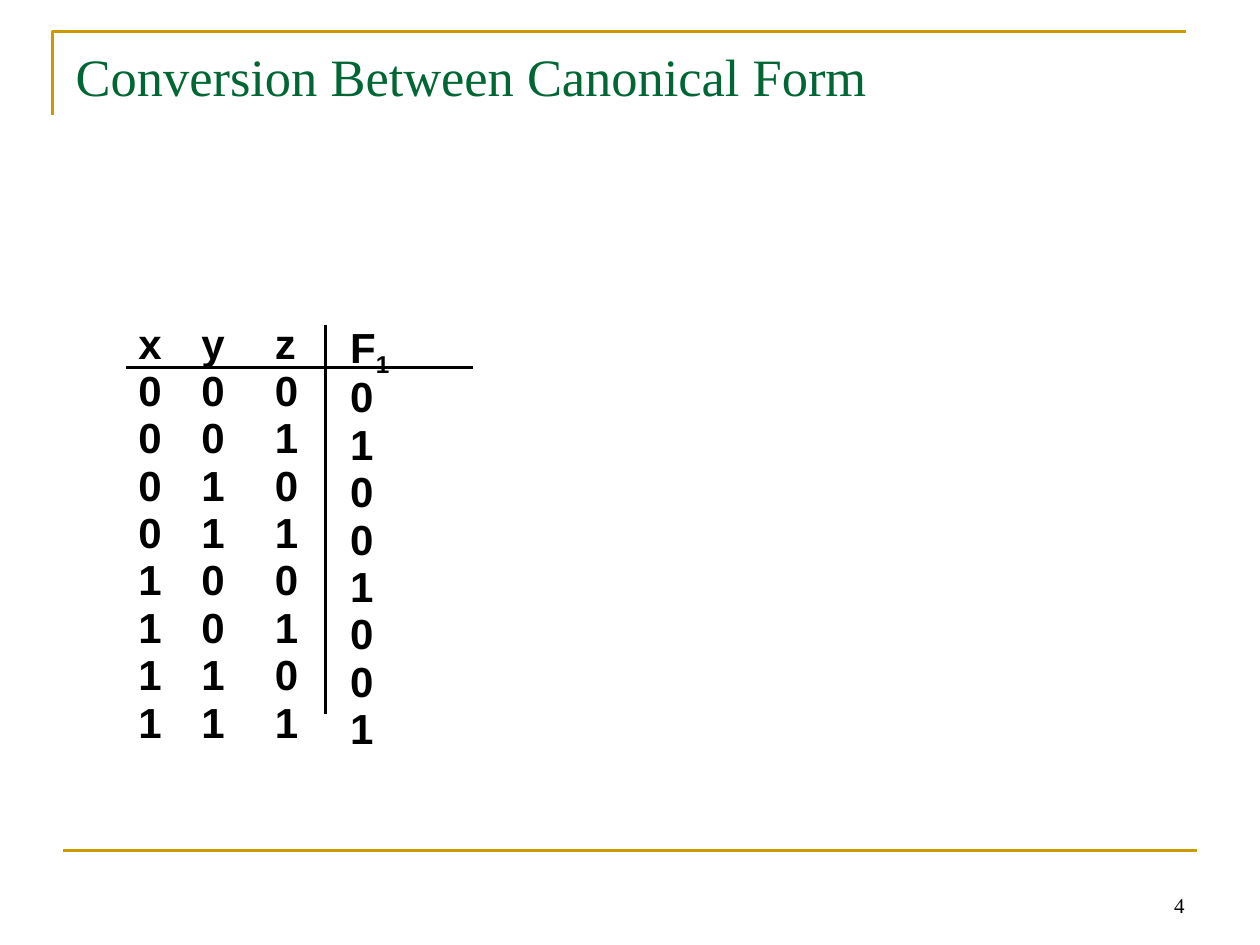
import pptx
import pptx.util
import pptx.dml.color
import pptx.enum.shapes
import pptx.enum.text
import pptx.oxml.ns
import lxml.etree
from dataclasses import dataclass

Pt = pptx.util.Pt
ALIGN = pptx.enum.text.PP_ALIGN
ANCHOR = pptx.enum.text.MSO_ANCHOR
AUTO_SIZE = pptx.enum.text.MSO_AUTO_SIZE


@dataclass(frozen=True)
class Theme:
    title_color: str = "006633"
    rule_color: str = "CC9900"
    ink: str = "000000"
    serif: str = "Times New Roman"
    sans: str = "Arial"
    title_size: float = 30
    table_size: float = 24
    number_size: float = 12
    frame_width: float = 1.5
    table_line_width: float = 2
    table_spacing: float = 0.94


def rgb(color):
    return pptx.dml.color.RGBColor.from_string(color)


def add_text(para, text, *, font, size, color, bold=False, baseline=0):
    """Add one formatted span to a paragraph."""
    span = para.add_run()
    span.text = text
    span.font.name = font
    span.font.size = Pt(size)
    span.font.bold = bold
    span.font.color.rgb = rgb(color)
    if baseline:
        span._r.get_or_add_rPr().set("baseline", str(baseline * 1000))


class SlideBuilder:
    def __init__(self, slide, theme):
        self.slide = slide
        self.theme = theme

    def title(self, text, left, top, width, height):
        box = self.slide.shapes.title
        box.left, box.top, box.width, box.height = map(Pt, (left, top, width, height))
        frame = box.text_frame
        frame.auto_size = AUTO_SIZE.NONE
        frame.vertical_anchor = ANCHOR.TOP
        para = frame.paragraphs[0]
        para.alignment = ALIGN.LEFT
        add_text(para, text, font=self.theme.serif, size=self.theme.title_size,
                 color=self.theme.title_color)

    def text_box(self, left, top, width, height, wrap=True):
        box = self.slide.shapes.add_textbox(*map(Pt, (left, top, width, height)))
        box.text_frame.word_wrap = wrap
        return box.text_frame

    def page_number(self, text, left, top, width, height):
        frame = self.text_box(left, top, width, height)
        frame.vertical_anchor = ANCHOR.BOTTOM
        para = frame.paragraphs[0]
        para.alignment = ALIGN.RIGHT
        add_text(para, text, font=self.theme.serif, size=self.theme.number_size,
                 color=self.theme.ink)

    def truth_column(self, name, values, left, top, width, height, subscript=""):
        frame = self.text_box(left, top, width, height, wrap=False)
        frame.auto_size = AUTO_SIZE.SHAPE_TO_FIT_TEXT
        style = dict(font=self.theme.sans, size=self.theme.table_size,
                     color=self.theme.ink, bold=True)
        for index, text in enumerate([name, *values]):
            para = frame.add_paragraph() if index else frame.paragraphs[0]
            para.line_spacing = self.theme.table_spacing
            add_text(para, text, **style)
            if index == 0 and subscript:
                add_text(para, subscript, baseline=-25, **style)

    def line(self, start, end, color, width):
        line = self.slide.shapes.add_connector(
            pptx.enum.shapes.MSO_CONNECTOR.STRAIGHT, *map(Pt, (*start, *end)))
        line.line.color.rgb = rgb(color)
        line.line.width = Pt(width)
        lxml.etree.SubElement(line._element.spPr, pptx.oxml.ns.qn("a:effectLst"))

    def outline(self, points, color, width):
        first, *rest = [tuple(map(Pt, point)) for point in points]
        builder = self.slide.shapes.build_freeform(*first)
        builder.add_line_segments(rest, close=False)
        shape = builder.convert_to_shape()
        shape.shadow.inherit = False
        shape.fill.background()
        shape.line.color.rgb = rgb(color)
        shape.line.width = Pt(width)


def main():
    deck = pptx.Presentation()
    deck.slide_width, deck.slide_height = Pt(720), Pt(540)
    theme = Theme()
    page = SlideBuilder(deck.slides.add_slide(deck.slide_layouts[5]), theme)

    # Frame
    page.outline([(30, 66), (30, 18), (678, 18)], theme.rule_color, theme.frame_width)
    page.line((36, 486), (684, 486), theme.rule_color, theme.frame_width)

    # Title and page number
    page.title("Conversion Between Canonical Form", 36, 21.6, 648, 90)
    page.page_number("4", 516, 492, 168, 36)

    # Truth table: the inputs count up in binary
    rows = [f"{number:03b}" for number in range(8)]
    columns = zip("xyz", zip(*rows), (72, 108, 150), (28, 32.4, 28))
    for name, values, left, width in columns:
        page.truth_column(name, values, left, 180, width, 240.5)
    page.truth_column("F", "01001001", 193, 180, 36.7, 244, subscript="1")

    # Table rules
    page.line((186, 186), (186, 408), theme.ink, theme.table_line_width)
    page.line((72, 210), (270, 210), theme.ink, theme.table_line_width)

    deck.save("out.pptx")


if __name__ == "__main__":
    main()
